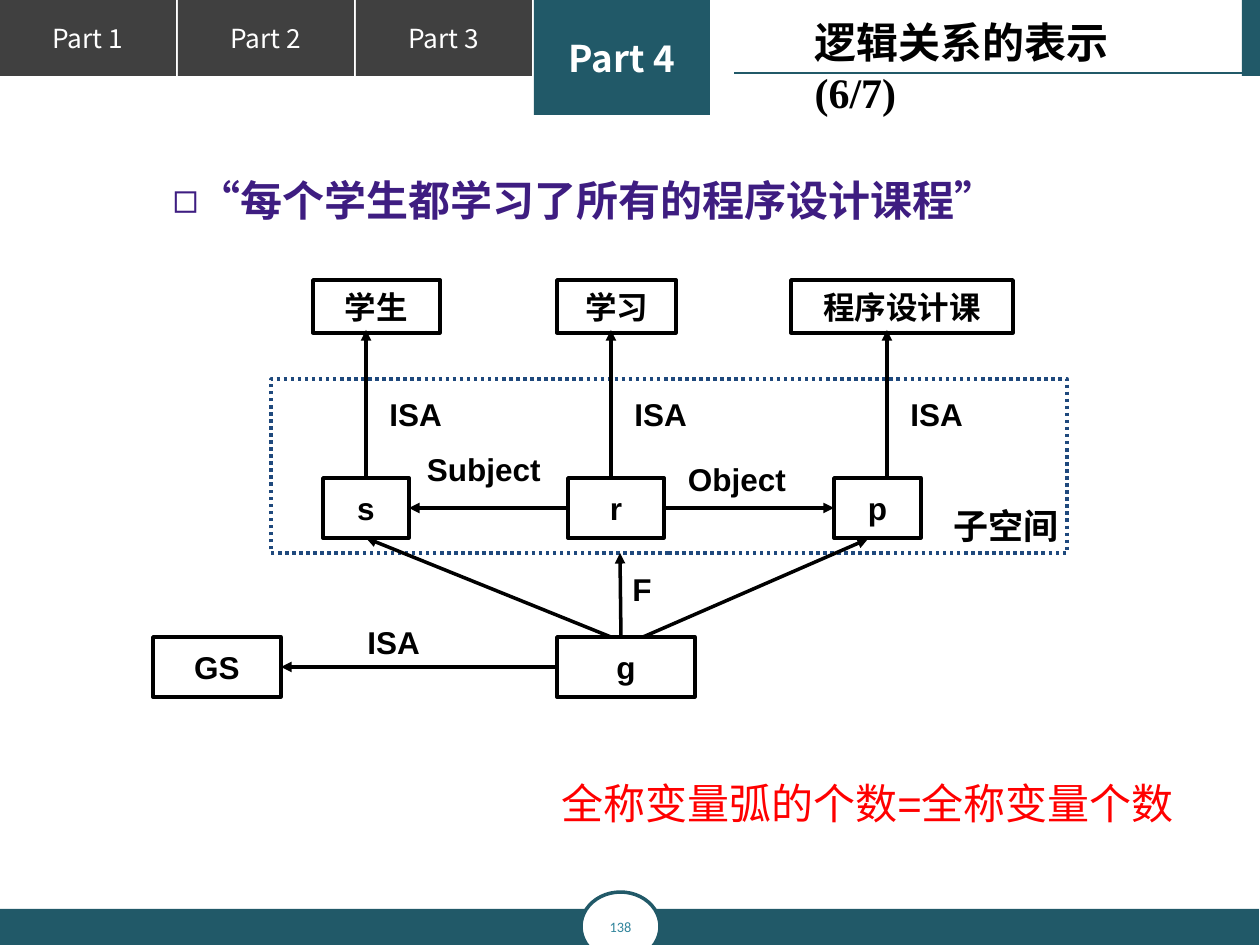
import pptx
import pptx.dml.color
import pptx.enum.dml
import pptx.enum.shapes
import pptx.enum.text
import pptx.oxml.ns
import pptx.util
from lxml import etree

PX = 914400 / 126
CJK = "Noto Sans CJK SC"
BLACK, WHITE, TEAL, GRAY = "000000", "FFFFFF", "215968", "404040"
PURPLE, NAVY, RED, CYAN = "3E1D81", "1F497D", "FF0000", "31859C"
SHAPES = pptx.enum.shapes.MSO_SHAPE
ALIGN = pptx.enum.text.PP_ALIGN
ANCHOR = pptx.enum.text.MSO_ANCHOR


def emu(px):
    return pptx.util.Emu(round(px * PX))


def rgb(value):
    return pptx.dml.color.RGBColor.from_string(value)


def child(parent, tag, **attributes):
    return etree.SubElement(parent, pptx.oxml.ns.qn(tag), **attributes)


class Diagram:
    font = "Arial"
    size = 18
    weight = 2

    def __init__(self, page):
        self.page = page

    def add_text(self, frame, text, size=None, color=BLACK, bold=True,
                 font=None, align=ALIGN.LEFT):
        para = frame.paragraphs[0]
        para.alignment = align
        para.space_before = pptx.util.Pt(0)
        span = para.add_run()
        span.text = text
        span.font.name = font or self.font
        span.font.size = pptx.util.Pt(size or self.size)
        span.font.bold = bold
        span.font.color.rgb = rgb(color)
        child(span._r.get_or_add_rPr(), "a:ea", typeface=CJK)
        return para

    def place(self, holder, left, top, width, height):
        holder.left, holder.top = emu(left), emu(top)
        holder.width, holder.height = emu(width), emu(height)
        holder.text_frame.word_wrap = True
        holder.text_frame.vertical_anchor = ANCHOR.TOP
        return holder.text_frame

    def title(self, text, *area):
        frame = self.place(self.page.shapes.title, *area)
        frame.margin_right = emu(50)
        self.add_text(frame, text, 24, font="Times New Roman")

    def bullet(self, text, *area):
        frame = self.place(self.page.placeholders[1], *area)
        para = self.add_text(frame, text, 24, PURPLE, font="Times New Roman")
        para.level = 1
        properties = para._p.get_or_add_pPr()
        properties.set("marL", str(emu(118)))
        properties.set("indent", str(emu(-24)))
        color = child(properties, "a:buClr")
        child(color, "a:srgbClr", val=PURPLE)
        child(properties, "a:buChar", char="◻")

    def shape(self, left, top, width, height, fill=None, line=None,
              kind=SHAPES.RECTANGLE):
        box = self.page.shapes.add_shape(
            kind, emu(left), emu(top), emu(width), emu(height))
        box.shadow.inherit = False
        if fill:
            box.fill.solid()
            box.fill.fore_color.rgb = rgb(fill)
        else:
            box.fill.background()
        if line:
            box.line.color.rgb = rgb(line)
            box.line.width = pptx.util.Pt(self.weight)
        else:
            box.line.fill.background()
        box.text_frame.vertical_anchor = ANCHOR.MIDDLE
        return box

    def node(self, text, *area):
        box = self.shape(*area, line=BLACK)
        box.text_frame.word_wrap = False
        self.add_text(box.text_frame, text, align=ALIGN.CENTER)

    def tab(self, text, *area, fill=GRAY, size=15, bold=False):
        box = self.shape(*area, fill=fill)
        self.add_text(box.text_frame, text, size, WHITE, bold, CJK,
                      ALIGN.CENTER)

    def line(self, x1, y1, x2, y2, color=BLACK, weight=None, arrow=True):
        link = self.page.shapes.add_connector(
            pptx.enum.shapes.MSO_CONNECTOR.STRAIGHT,
            emu(x1), emu(y1), emu(x2), emu(y2))
        link.line.color.rgb = rgb(color)
        link.line.width = pptx.util.Pt(weight or self.weight)
        if arrow:
            child(link.get_or_add_ln(), "a:tailEnd", type="triangle")
        child(link._element.spPr, "a:effectLst")

    def label(self, text, left, top, width, height=50, insets=None, **style):
        box = self.page.shapes.add_textbox(
            emu(left), emu(top), emu(width), emu(height))
        frame = box.text_frame
        frame.word_wrap = True
        if insets:
            side, edge = insets
            frame.margin_left = frame.margin_right = emu(side)
            frame.margin_top = frame.margin_bottom = emu(edge)
        self.add_text(frame, text, **style)


def main():
    deck = pptx.Presentation()
    deck.slide_width, deck.slide_height = emu(1260), emu(945)
    diagram = Diagram(deck.slides.add_slide(deck.slide_layouts[1]))

    for index in range(3):
        diagram.tab(f"Part {index + 1}", index * 178, 0, 176, 76)
    diagram.tab("Part 4", 534, 0, 176, 115, fill=TEAL, size=21, bold=True)
    diagram.shape(1242, 0, 18, 76, fill=TEAL)
    diagram.shape(0, 909, 1259, 36, fill=TEAL)
    badge = diagram.shape(581, 892, 79, 69, WHITE, TEAL, SHAPES.OVAL)
    diagram.add_text(badge.text_frame, "138", 8.2, CYAN, False, "Calibri",
                     ALIGN.CENTER)
    diagram.line(1251, 73, 734, 73, TEAL, 0.75, arrow=False)

    diagram.title("逻辑关系的表示(6/7)", 802, 10, 406, 63)
    diagram.bullet("“每个学生都学习了所有的程序设计课程”", 66, 168, 998, 640)

    subspace = diagram.shape(271, 379, 796, 174, line=NAVY)
    subspace.line.dash_style = pptx.enum.dml.MSO_LINE.ROUND_DOT

    for text, left, width in (("学生", 313, 127), ("学习", 557, 119),
                              ("程序设计课", 791, 222)):
        diagram.node(text, left, 280, width, 53)
    for text, left, width in (("s", 323, 86), ("r", 568, 96), ("p", 834, 87)):
        diagram.node(text, left, 478, width, 60)
    for text, left, width in (("GS", 153, 128), ("g", 557, 138)):
        diagram.node(text, left, 637, width, 60)

    for x in (366, 611, 887):
        diagram.line(x, 478, x, 330)
        diagram.label("ISA", x + 11, 389, 96)
    for ends in ((557, 667, 281, 667), (611, 637, 366, 538),
                 (621, 637, 620, 553), (643, 637, 868, 539),
                 (568, 508, 409, 508), (664, 508, 834, 508)):
        diagram.line(*ends)

    diagram.label("Subject", 419, 449, 139, 40, insets=(8, 1))
    diagram.label("Object", 685, 459, 117, 40, insets=(3, 1))
    diagram.label("ISA", 355, 617, 96)
    diagram.label("F", 620, 564, 53)
    diagram.label("子空间", 941, 498, 147, 54, size=20, font=CJK)
    diagram.label("全称变量弧的个数=全称变量个数", 549, 771, 674, 63,
                  size=24, color=RED, bold=False)

    deck.save("out.pptx")


if __name__ == "__main__":
    main()
